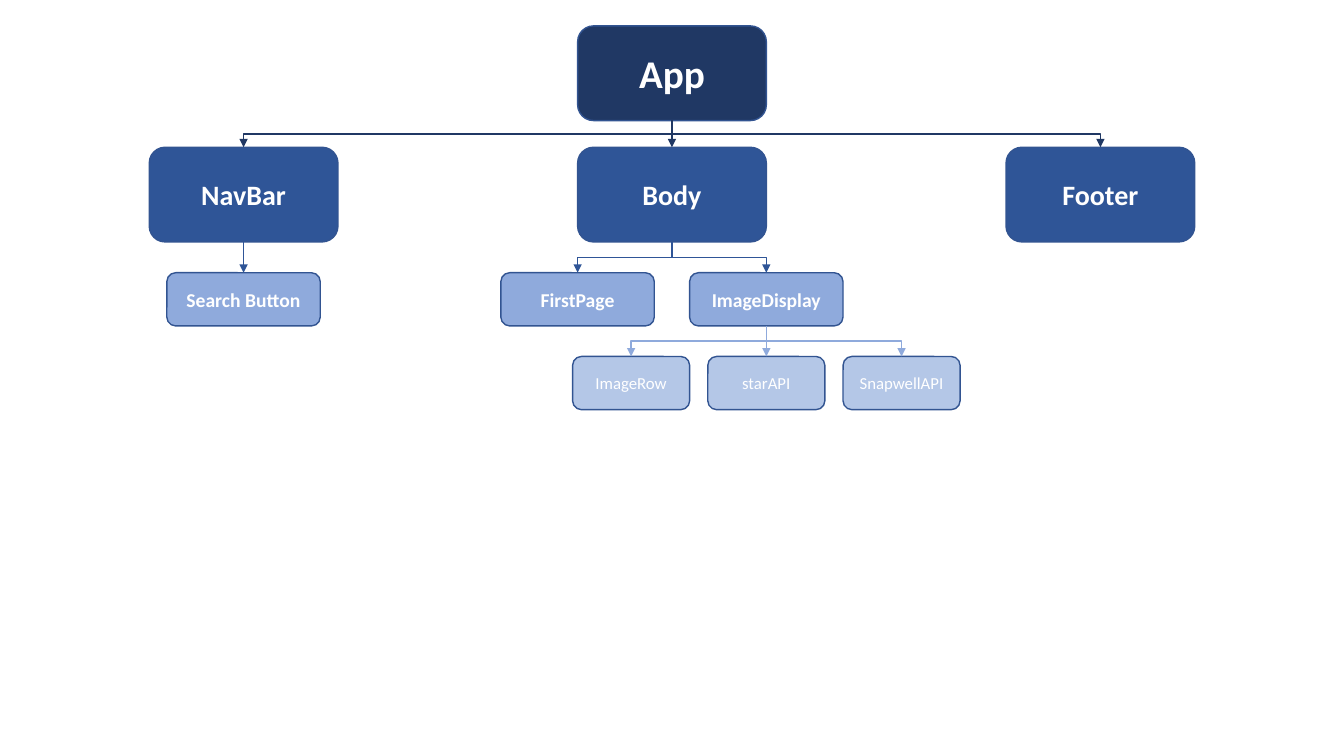
import pptx
import pptx.util
import pptx.dml.color
import pptx.enum.shapes
import pptx.enum.text
import pptx.oxml
import pptx.oxml.ns
import lxml.etree

Pt = pptx.util.Pt


def rgb(value):
    return pptx.dml.color.RGBColor.from_string(value)


prs = pptx.Presentation()
prs.slide_width, prs.slide_height = Pt(960), Pt(540)
s = prs.slides.add_slide(prs.slide_layouts[6])

levels = [
    (18.5, 134.8, 67.6, "203864", 28, True, [("App", 480, None)]),
    (105.2, 134.8, 67.6, "2F5597", 20, True,
     [("NavBar", 174, "App"), ("Body", 480, "App"), ("Footer", 786, "App")]),
    (194.8, 109.6, 38, "8FAADC", 14, True,
     [("Search Button", 174, "NavBar"), ("FirstPage", 412.6, "Body"), ("ImageDisplay", 547.4, "Body")]),
    (254.6, 83.6, 38, "B4C7E7", 12, False,
     [("ImageRow", 450.8, "ImageDisplay"), ("starAPI", 547.4, "ImageDisplay"),
      ("SnapwellAPI", 644, "ImageDisplay")]),
]

boxes = {}
links = []
for top, width, height, color, size, bold, nodes in levels:
    for name, center, parent in nodes:
        sp = s.shapes.add_shape(pptx.enum.shapes.MSO_SHAPE.ROUNDED_RECTANGLE,
                                Pt(center - width / 2), Pt(top), Pt(width), Pt(height))
        sp.shadow.inherit = False
        sp.fill.solid()
        sp.fill.fore_color.rgb = rgb(color)
        sp.line.color.rgb = rgb("325491")
        sp.line.width = Pt(1)
        tf = sp.text_frame
        tf.word_wrap = True
        tf.vertical_anchor = pptx.enum.text.MSO_ANCHOR.MIDDLE
        p = tf.paragraphs[0]
        p.alignment = pptx.enum.text.PP_ALIGN.CENTER
        r = p.add_run()
        r.text = name
        r.font.name = "Calibri"
        r.font.size = Pt(size)
        r.font.bold = bold
        r.font.color.rgb = rgb("FFFFFF")
        boxes[name] = (sp, center, top, top + height, color)
        if parent:
            links.append((parent, name))

for parent, child in links:
    start, x1, _, y1, color = boxes[parent]
    end, x2, y2, _, _ = boxes[child]
    straight = x1 == x2
    kind = pptx.enum.shapes.MSO_CONNECTOR.STRAIGHT if straight else pptx.enum.shapes.MSO_CONNECTOR.ELBOW
    cxn = s.shapes.add_connector(kind, Pt(x1), Pt(y1), Pt(x2), Pt(y2))
    cxn.begin_connect(start, 2)
    cxn.end_connect(end, 0)
    if not straight:
        drop, reach = y2 - y1, abs(x2 - x1)
        cxn.left, cxn.top = Pt((x1 + x2 - drop) / 2), Pt((y1 + y2 - reach) / 2)
        cxn.width, cxn.height = Pt(drop), Pt(reach)
        xfrm = cxn._element.spPr.find(pptx.oxml.ns.qn("a:xfrm"))
        xfrm.set("rot", "16200000" if x2 > x1 else "5400000")
        xfrm.set("flipH", "1" if x2 > x1 else "0")
        xfrm.set("flipV", "0")
    cxn.line.color.rgb = rgb(color)
    cxn.line.width = Pt(1)
    ln = cxn.line._get_or_add_ln()
    lxml.etree.SubElement(ln, pptx.oxml.ns.qn("a:tailEnd"), type="triangle")
    lxml.etree.SubElement(cxn._element.spPr, pptx.oxml.ns.qn("a:effectLst"))

prs.save("out.pptx")
